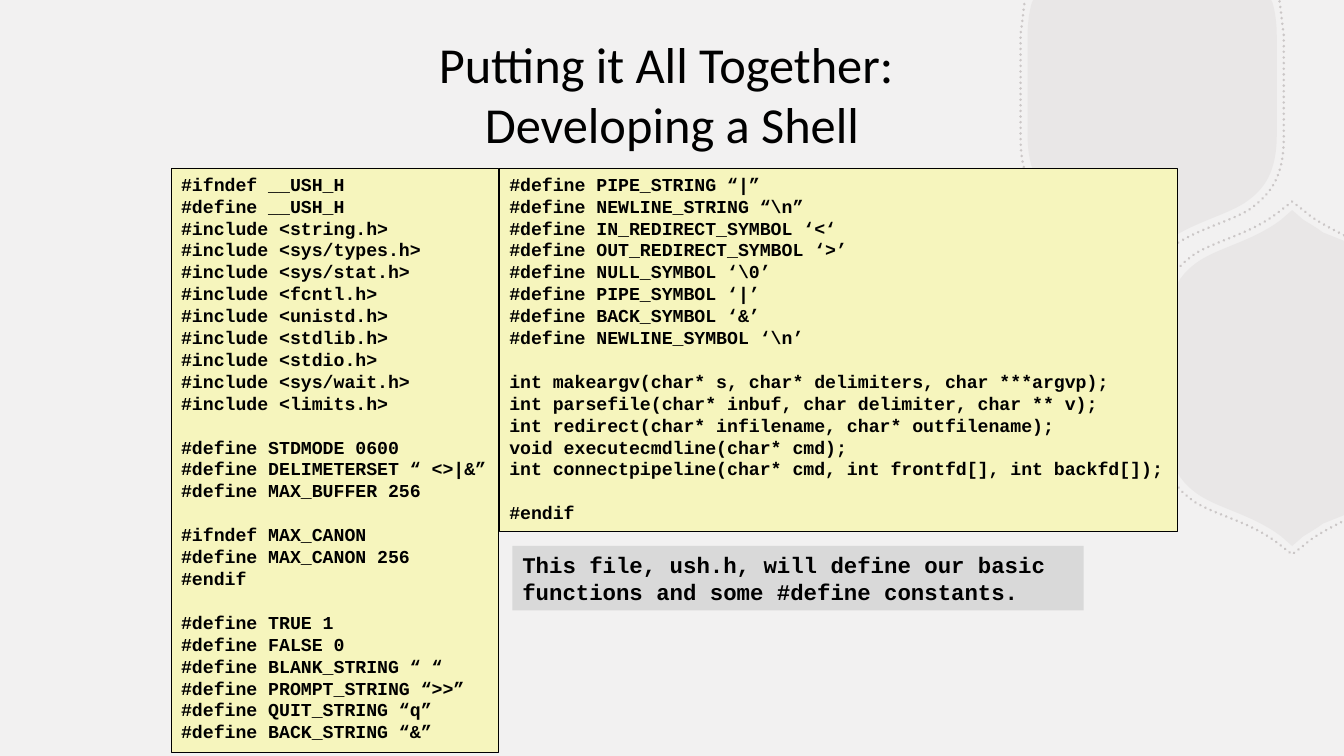
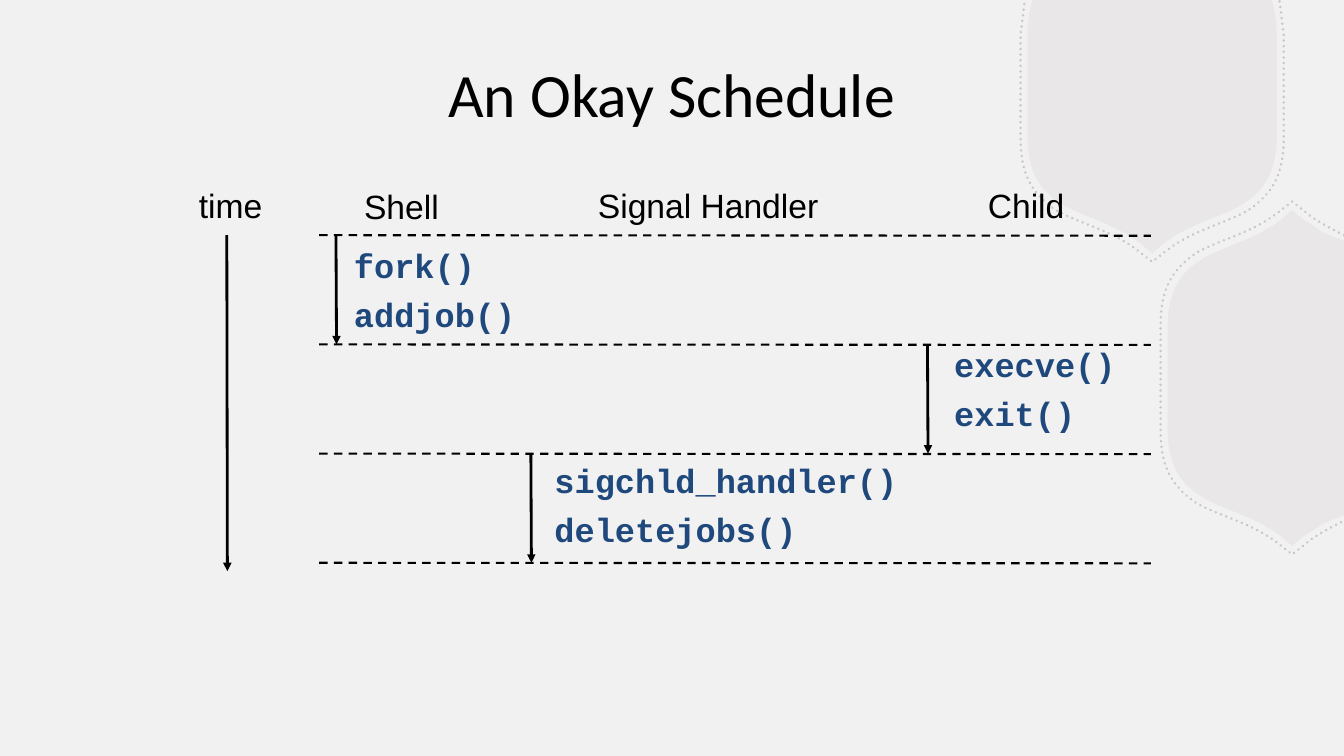
"""Build two slides about writing a shell: a header file and a signal schedule."""
from dataclasses import dataclass
from typing import Any

from lxml import etree
from pptx import Presentation
from pptx import util as u
from pptx.dml.color import RGBColor
from pptx.enum import dml, shapes, text
from pptx.oxml.ns import qn
from pptx.shapes.shapetree import SlideShapes

BLACK, NAVY = "000000", "1F497D"
PAPER, TILE = "F2F1F1", "B8B2B2"
CODE_FILL, NOTE_FILL = "F6F5BD", "D9D9D9"

Point = tuple[float, float]
Outline = list[tuple[Point, ...]]


@dataclass(frozen=True)
class Style:
    size: float
    face: str
    color: str = BLACK
    bold: bool = False
    spacing: float | u.Length = 1.0


@dataclass(frozen=True)
class Contour:
    half_height: float
    corner: Outline
    flank: Outline
    top_cut: Outline
    side_cut: Outline
    filled: bool


@dataclass(frozen=True)
class Panel:
    left: float
    top: float
    width: float
    height: float
    fill: str
    content: str
    style: Style
    bordered: bool = True


@dataclass(frozen=True)
class Label:
    left: float
    top: float
    width: float
    height: float
    content: str
    style: Style
    gap: float = 0


@dataclass(frozen=True)
class Line:
    start: Point
    end: Point
    weight: float = 2
    dashed: bool = False


CODE = Style(13, "Courier New", bold=True, spacing=u.Pt(15.65))
NOTE = Style(16, "Courier New", bold=True, spacing=u.Pt(19.3))
HEADING = Style(24, "Arial", spacing=0.9)
CALL = Style(24, "Courier New", NAVY, True, u.Pt(26))

UPPER_CENTER, LOWER_CENTER = (823, 61), (923, 270)
INNER = Contour(
    120, [((0, 0),), ((8, 7),)],
    [((28, 22), (50, 26), (66, 36)), ((81, 46), (89, 59), (89, 85))],
    [((89, 155),), ((89, 164), (88, 172), (86, 179)), ((85, 181),)],
    [((13, 10), (18, 13), (22, 16)), ((37, 22),)], True)
OUTER = Contour(
    126, [((0, 0),), ((9, 7),)],
    [((29, 23), (52, 27), (69, 37)), ((86, 49), (94, 62), (94, 89))],
    [((94, 163),), ((93, 168), (92, 180), (91, 186))],
    [((14, 12), (27, 19), (37, 24))], False)

HEADER_START = """#ifndef __USH_H
#define __USH_H
#include <string.h>
#include <sys/types.h>
#include <sys/stat.h>
#include <fcntl.h>
#include <unistd.h>
#include <stdlib.h>
#include <stdio.h>
#include <sys/wait.h>
#include <limits.h>

#define STDMODE 0600
#define DELIMETERSET “ <>|&”
#define MAX_BUFFER 256

#ifndef MAX_CANON
#define MAX_CANON 256
#endif

#define TRUE 1
#define FALSE 0
#define BLANK_STRING “ “
#define PROMPT_STRING “>>”
#define QUIT_STRING “q”
#define BACK_STRING “&”"""

HEADER_END = r"""#define PIPE_STRING “|”
#define NEWLINE_STRING “\n”
#define IN_REDIRECT_SYMBOL ‘<‘
#define OUT_REDIRECT_SYMBOL ‘>’
#define NULL_SYMBOL ‘\0’
#define PIPE_SYMBOL ‘|’
#define BACK_SYMBOL ‘&’
#define NEWLINE_SYMBOL ‘\n’

int makeargv(char* s, char* delimiters, char ***argvp);
int parsefile(char* inbuf, char delimiter, char ** v);
int redirect(char* infilename, char* outfilename);
void executecmdline(char* cmd);
int connectpipeline(char* cmd, int frontfd[], int backfd[]);

#endif"""

PURPOSE = """This file, ush.h, will define our basic
functions and some #define constants."""

PANELS = [
    Panel(122.3, 120, 233.5, 417, CODE_FILL, HEADER_START, CODE),
    Panel(356.7, 120, 484, 259.5, CODE_FILL, HEADER_END, CODE),
    Panel(366, 390, 408, 46, NOTE_FILL, PURPOSE, NOTE, False),
]

PHASE_TOP, PHASE_STEP, LEAN = 168, 78, 0.4
PHASES = [PHASE_TOP + PHASE_STEP * index for index in range(4)]
LABELS = [
    Label(135, 132, 61, 33, "time", HEADING),
    Label(253, 132.5, 68, 33, "Shell", HEADING),
    Label(420, 132, 173, 33, "Signal Handler", HEADING),
    Label(698.5, 132, 70, 33, "Child", HEADING),
    Label(245.8, 174, 130, 69, "fork()\naddjob()", CALL, 9),
    Label(674.5, 245.2, 130, 69, "execve()\nexit()", CALL, 9),
    Label(389, 328, 261, 69, "sigchld_handler()\ndeletejobs()", CALL, 9),
]
LINES = [
    *(Line((228, y), (822, y + LEAN), 1.5, True) for y in PHASES),
    Line((162, PHASE_TOP), (162 + LEAN, 408)),
    *(Line((x, y), (x + LEAN, y + PHASE_STEP)) for x, y in zip((240, 662.5, 379.2), PHASES)),
]


def rgb(value: str) -> RGBColor:
    return RGBColor.from_string(value)


def apply_format(target: Any, values: dict[str, Any]) -> None:
    for name, value in values.items():
        setattr(target, name, value)


def format_span(span: Any, style: Style) -> None:
    apply_format(span.font, {"size": u.Pt(style.size), "name": style.face, "bold": style.bold})
    span.font.color.rgb = rgb(style.color)


def write_text(box: Any, content: str, style: Style, gap: float = 0) -> None:
    frame = box.text_frame
    apply_format(frame, {
        "word_wrap": False,
        "auto_size": text.MSO_AUTO_SIZE.NONE,
        "vertical_anchor": text.MSO_ANCHOR.TOP,
    })
    blank = False
    first = True
    for line in content.split("\n"):
        if not line:
            blank = True
            continue
        para = frame.paragraphs[0] if first else frame.add_paragraph()
        apply_format(para, {
            "alignment": text.PP_ALIGN.LEFT,
            "line_spacing": style.spacing,
            "space_before": style.spacing if blank else u.Pt(0 if first else gap),
        })
        span = para.add_run()
        span.text = line
        format_span(span, style)
        blank = first = False


def scaled(outline: Outline, across: int, down: int) -> Outline:
    return [tuple((across * x, down * y) for x, y in part) for part in outline]


def shifted(outline: Outline, center: Point) -> Outline:
    return [tuple((x + center[0], y + center[1]) for x, y in part) for part in outline]


def backwards(outline: Outline) -> Outline:
    points = [point for part in outline for point in part][::-1]
    result = [(points.pop(0),)]
    for part in outline[:0:-1]:
        result.append(tuple(points.pop(0) for _ in part))
    return result


def upper_tile(contour: Contour) -> Outline:
    rise = contour.corner + contour.flank + contour.top_cut
    right = shifted(scaled(rise, 1, -1), (0, contour.half_height))
    return backwards(right) + scaled(right, -1, 1)[1:]


def lower_tile(contour: Contour) -> Outline:
    left = backwards(scaled(contour.corner + contour.flank, -1, -1))
    right = scaled(contour.corner + contour.side_cut, 1, -1)
    bottom = shifted(left + right[1:], (0, contour.half_height))
    return backwards(scaled(bottom, 1, -1)) + bottom


def draw_tile(canvas: SlideShapes, outline: Outline, filled: bool) -> None:
    points = [(u.Pt(x), u.Pt(y)) for part in outline for x, y in part]
    builder = canvas.build_freeform(*points[0], scale=1.0)
    builder.add_line_segments(points[1:], close=filled)
    tile = builder.convert_to_shape()
    tile.shadow.inherit = False
    properties = tile.element.spPr
    track = next(properties.iter(qn("a:path")))
    steps = iter(list(track)[1:])
    for part in outline[1:]:
        step = next(steps)
        if len(part) == 3:
            step.tag = qn("a:cubicBezTo")
            for extra in (next(steps), next(steps)):
                step.append(extra[0])
                track.remove(extra)
    if filled:
        tile.fill.solid()
        tile.fill.fore_color.rgb = rgb(TILE)
        tile.line.fill.background()
    else:
        tile.fill.background()
        tile.line.color.rgb = rgb(TILE)
        apply_format(tile.line, {"width": u.Pt(2), "dash_style": dml.MSO_LINE.ROUND_DOT})
        properties.find(qn("a:ln")).set("cap", "rnd")
    for color in properties.iter(qn("a:srgbClr")):
        etree.SubElement(color, qn("a:alpha")).set("val", "15000" if filled else "65000")


def draw_panel(page: Any, panel: Panel) -> None:
    bounds = (u.Pt(v) for v in (panel.left, panel.top, panel.width, panel.height))
    box = page.shapes.add_shape(shapes.MSO_SHAPE.RECTANGLE, *bounds)
    box.shadow.inherit = False
    box.fill.solid()
    box.fill.fore_color.rgb = rgb(panel.fill)
    if panel.bordered:
        box.line.color.rgb = rgb(BLACK)
        box.line.width = u.Pt(0.25)
    else:
        box.line.fill.background()
    write_text(box, panel.content, panel.style)


def draw_label(page: Any, label: Label) -> None:
    bounds = (u.Pt(v) for v in (label.left, label.top, label.width, label.height))
    write_text(page.shapes.add_textbox(*bounds), label.content, label.style, label.gap)


def draw_line(page: Any, line: Line) -> None:
    ends = (u.Pt(v) for v in (*line.start, *line.end))
    connector = page.shapes.add_connector(shapes.MSO_CONNECTOR.STRAIGHT, *ends)
    connector.line.color.rgb = rgb(BLACK)
    connector.line.width = u.Pt(line.weight)
    properties = connector.element.spPr
    if line.dashed:
        connector.line.dash_style = dml.MSO_LINE.DASH
    else:
        etree.SubElement(properties.find(qn("a:ln")), qn("a:tailEnd")).set("type", "triangle")
    etree.SubElement(properties, qn("a:effectLst"))


def prepare_layout(deck: Any) -> Any:
    master = deck.slide_master
    master.background.fill.solid()
    master.background.fill.fore_color.rgb = rgb(PAPER)
    canvas = SlideShapes(master.shapes.element, master)
    for contour in (INNER, OUTER):
        draw_tile(canvas, shifted(upper_tile(contour), UPPER_CENTER), contour.filled)
        draw_tile(canvas, shifted(lower_tile(contour), LOWER_CENTER), contour.filled)
    layout = deck.slide_layouts[5]
    title, *footers = layout.placeholders
    for footer in footers:
        layout.shapes.element.remove(footer.element)
    apply_format(title, {
        "left": u.Pt(156), "top": u.Pt(20), "width": u.Pt(648), "height": u.Pt(93),
    })
    return layout


def add_page(deck: Any, layout: Any, title: str, size: float) -> Any:
    page = deck.slides.add_slide(layout)
    frame = page.shapes.title.text_frame
    frame.text = title
    apply_format(frame, {
        "auto_size": text.MSO_AUTO_SIZE.NONE, "vertical_anchor": text.MSO_ANCHOR.MIDDLE,
    })
    para = frame.paragraphs[0]
    para.alignment = text.PP_ALIGN.CENTER
    for span in para.runs:
        format_span(span, Style(size, "Calibri"))
    return page


def main() -> None:
    deck = Presentation()
    apply_format(deck, {"slide_width": u.Pt(960), "slide_height": u.Pt(540)})
    layout = prepare_layout(deck)
    page = add_page(deck, layout, "Putting it All Together: \vDeveloping a Shell", 36)
    for panel in PANELS:
        draw_panel(page, panel)
    page = add_page(deck, layout, "An Okay Schedule", 44)
    for line in LINES:
        draw_line(page, line)
    for label in LABELS:
        draw_label(page, label)
    deck.save("out.pptx")


if __name__ == "__main__":
    main()
